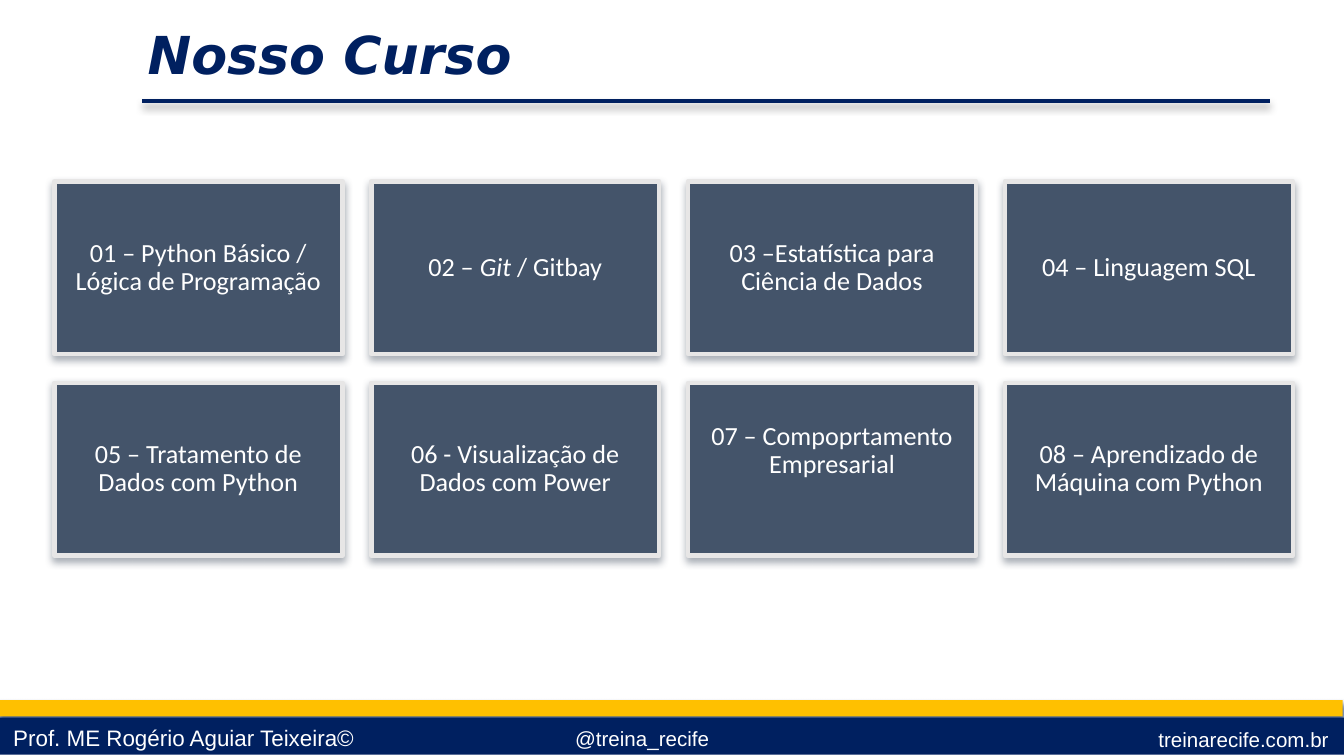
from dataclasses import dataclass

from lxml.etree import SubElement
from pptx import Presentation
from pptx.dml.color import RGBColor
from pptx.enum.shapes import MSO_CONNECTOR, MSO_SHAPE
from pptx.enum.text import MSO_ANCHOR, MSO_AUTO_SIZE, PP_ALIGN
from pptx.oxml.ns import qn
from pptx.util import Emu, Pt

PX = 4572  # 200 px to the inch


@dataclass(frozen=True)
class Theme:
    navy: str = "002060"
    gold: str = "FFC000"
    slate: str = "44546A"
    pale: str = "E7E6E6"
    white: str = "FFFFFF"
    title_font: str = "DejaVu Sans"
    card_font: str = "Calibri"
    footer_font: str = "Arial"
    title_size: int = 28
    card_size: int = 14
    author_size: int = 12
    contact_size: int = 11
    # colour, opacity in percent, blur and distance in points
    rule_shadow: tuple = ("000000", 40, 4, 3)
    card_shadow: tuple = ("233144", 38, 4, 2)
    strip_shadow: tuple = ("2A4679", 83, 3.1, 2)


THEME = Theme()

COURSES = [
    "01 – Python Básico / Lógica de Programação",
    ("02 – ", "Git", " / Gitbay"),  # the middle run is italic
    "03 –Estatística para Ciência de Dados",
    "04 – Linguagem SQL",
    "05 – Tratamento de Dados com Python",
    "06 - Visualização de Dados com Power",
    "07 – Compoprtamento Empresarial",
    "08 – Aprendizado de Máquina com Python",
]
RAISED_COURSE = 6  # its text sits above the middle of the card


def px(*lengths):
    return [Emu(round(length * PX)) for length in lengths]


def rgb(colour):
    return RGBColor.from_string(colour)


def drop_shadow(properties, colour, opacity, blur, distance):
    effects = properties.find(qn("a:effectLst"))
    if effects is None:
        effects = SubElement(properties, qn("a:effectLst"))
    shadow = SubElement(effects, qn("a:outerShdw"), blurRad=str(Pt(blur)),
                        dist=str(Pt(distance)), dir="5400000", rotWithShape="0")
    tint = SubElement(shadow, qn("a:srgbClr"), val=colour)
    SubElement(tint, qn("a:alpha"), val=str(opacity * 1000))


def style_font(font, name, size, colour):
    font.name, font.size = name, Pt(size)
    font.color.rgb = rgb(colour)


def add_block(slide, box, fill, shadow=None):
    block = slide.shapes.add_shape(MSO_SHAPE.RECTANGLE, *px(*box))
    block.shadow.inherit = False
    block.fill.solid()
    block.fill.fore_color.rgb = rgb(fill)
    block.line.fill.background()
    if shadow:
        drop_shadow(block._element.spPr, *shadow)
    return block


def add_label(slide, box, text, font, size, colour, wrap=False):
    frame = slide.shapes.add_textbox(*px(*box)).text_frame
    frame.word_wrap = wrap
    frame.auto_size = MSO_AUTO_SIZE.SHAPE_TO_FIT_TEXT
    paragraph = frame.paragraphs[0]
    paragraph.text = text
    style_font(paragraph.font, font, size, colour)
    return paragraph


def add_footer(slide, box):
    left, top, width, height = box
    band_offset = 26
    band_top = top + band_offset

    # Gold strip over the navy band
    add_block(slide, (left - 2, top, width, 24), THEME.gold, THEME.strip_shadow)
    add_block(slide, (left, band_top, width, height - band_offset), THEME.navy)

    # Site, author and handle
    for x, y, label_width, label_height, text, size in [
        (1704, 4, 296, 58, "treinarecife.com.br", THEME.contact_size),
        (0, 0, 558, 60, "Prof. ME Rogério Aguiar Teixeira©", THEME.author_size),
        (836, 2, 250, 58, "@treina_recife", THEME.contact_size),
    ]:
        add_label(slide, (left + x, band_top + y, label_width, label_height),
                  text, THEME.footer_font, size, THEME.white)


def add_header(slide, box):
    left, top, width, height = box

    # Rule under the title
    rule_y = top + height
    rule = slide.shapes.add_connector(
        MSO_CONNECTOR.STRAIGHT, *px(left + 12, rule_y, left + width, rule_y))
    rule.line.color.rgb = rgb(THEME.navy)
    rule.line.width = Pt(2.25)
    drop_shadow(rule._element.spPr, *THEME.rule_shadow)

    # Title
    title = add_label(slide, (left, top, 1524, 114), "Nosso Curso",
                      THEME.title_font, THEME.title_size, THEME.navy, wrap=True)
    title.font.bold = title.font.italic = True


def add_card(slide, box, course, raise_by=0):
    card = add_block(slide, box, THEME.slate, THEME.card_shadow)
    card.line.color.rgb = rgb(THEME.pale)
    card.line.width = Pt(2.5)

    frame = card.text_frame
    frame.word_wrap = True
    frame.vertical_anchor = MSO_ANCHOR.MIDDLE
    frame.margin_left, frame.margin_top, frame.margin_right, frame.margin_bottom = px(
        12, 12, 12, 12 + raise_by)

    paragraph = frame.paragraphs[0]
    paragraph.alignment = PP_ALIGN.CENTER
    paragraph.line_spacing = 0.9
    style_font(paragraph.font, THEME.card_font, THEME.card_size, THEME.white)
    if isinstance(course, str):
        paragraph.text = course
    else:
        for position, part in enumerate(course):
            run = paragraph.add_run()
            run.text = part
            run.font.italic = position == 1


def add_course_grid(slide, box, columns=4, gap=43):
    left, top, width, height = box
    rows = len(COURSES) // columns
    card_width = (width - gap * (columns - 1)) / columns
    card_height = (height - gap * (rows - 1)) / rows
    for index, course in enumerate(COURSES):
        row, column = divmod(index, columns)
        card_box = (left + column * (card_width + gap),
                    top + row * (card_height + gap), card_width, card_height)
        add_card(slide, card_box, course, raise_by=54 if index == RAISED_COURSE else 0)


def main():
    deck = Presentation()
    deck.slide_width, deck.slide_height = px(2000, 1125)
    slide = deck.slides.add_slide(deck.slide_layouts[6])
    add_footer(slide, (0, 1042, 2000, 81))
    add_header(slide, (200, 24, 1690, 126))
    add_course_grid(slide, (81, 270, 1843, 557))
    deck.save("out.pptx")


if __name__ == "__main__":
    main()
